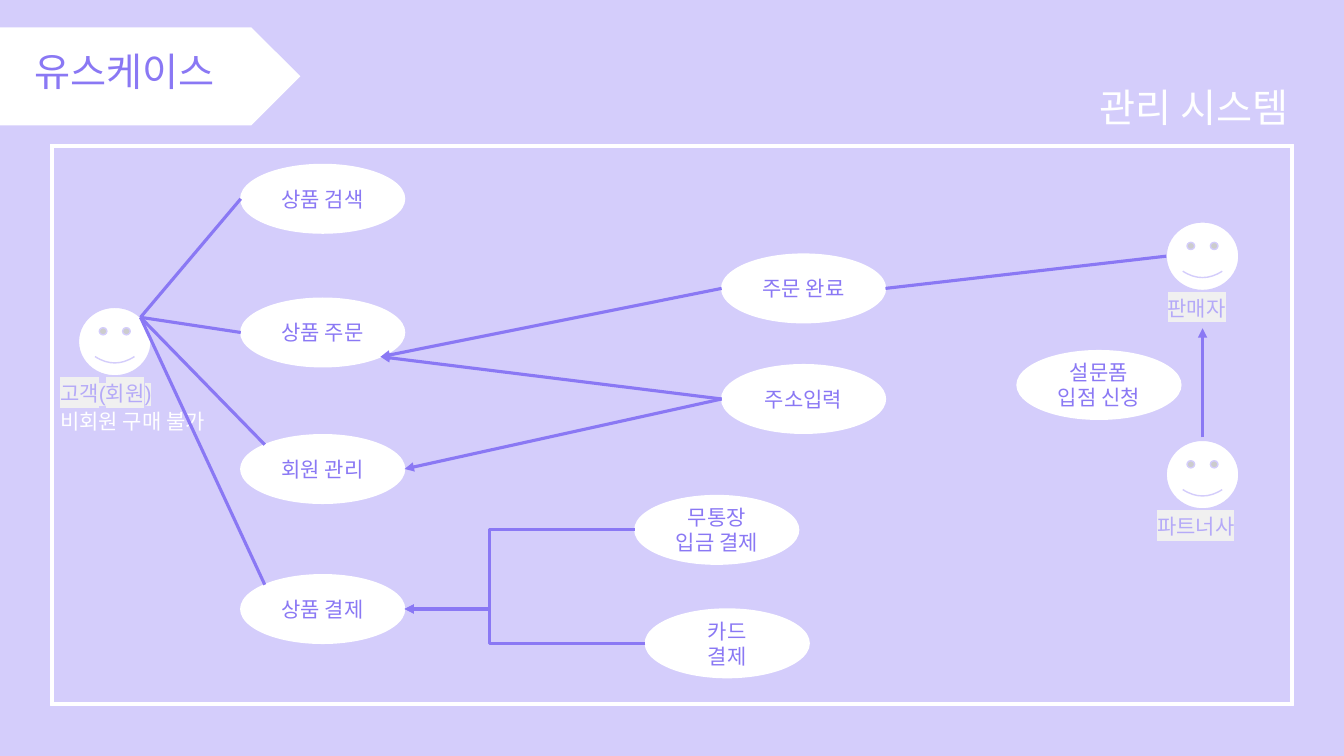
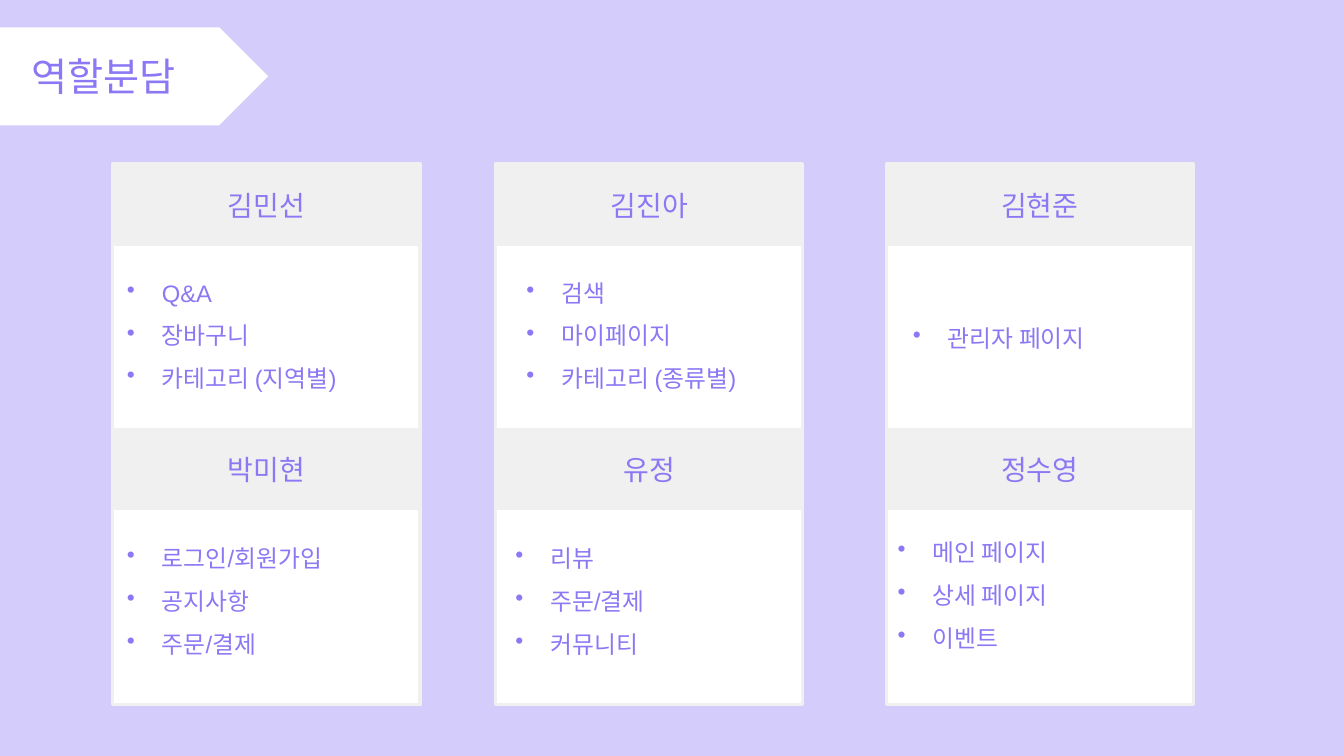
import math

from lxml import etree
from pptx import Presentation
from pptx.dml.color import RGBColor
from pptx.enum.shapes import MSO_CONNECTOR, MSO_SHAPE
from pptx.enum.text import MSO_ANCHOR, MSO_AUTO_SIZE, PP_ALIGN
from pptx.oxml.ns import qn
from pptx.util import Pt

COLORS = {
    "background": "D4CDFB",
    "white": "FFFFFF",
    "purple": "8A78F4",
    "light_purple": "B5AAF8",
    "gray": "F0F0F0",
}
BODY_FONT = "Arial"
TITLE_FONT = "Noto Sans CJK KR"
TITLE_ONLY = 5

RECTANGLE = MSO_SHAPE.RECTANGLE
ELLIPSE = MSO_SHAPE.OVAL
SMILEY = MSO_SHAPE.SMILEY_FACE
FRAME = MSO_SHAPE.FRAME
BANNER = MSO_SHAPE.PENTAGON
STRAIGHT = MSO_CONNECTOR.STRAIGHT
ELBOW = MSO_CONNECTOR.ELBOW
LEFT, CENTER = PP_ALIGN.LEFT, PP_ALIGN.CENTER
TOP, MIDDLE = MSO_ANCHOR.TOP, MSO_ANCHOR.MIDDLE

# Use case slide: name -> (lines, left, top)
USE_CASE_SIZE = (117, 49)
USE_CASES = {
    "search": (["상품 검색"], 172, 117.5),
    "order": (["상품 주문"], 172, 213),
    "members": (["회원 관리"], 172, 310.5),
    "payment": (["상품 결제"], 172, 410.5),
    "completed": (["주문 완료"], 515.5, 181.5),
    "address": (["주소입력"], 515.5, 260.5),
    "transfer": (["무통장", "입금 결제"], 453.5, 354),
    "card": (["카드", "결제"], 461, 435),
    "application": (["설문폼", "입점 신청"], 726.5, 250.5),
}
# name -> (left, top, label, label left, label width)
ACTOR_SIZE = (52, 49)
ACTORS = {
    "customer": (56, 219.5, "고객(회원)", 36, 93),
    "seller": (833, 158.5, "판매자", 827, 64),
    "partner": (833, 314.5, "파트너사", 819.5, 80),
}
# (start, side, end, side, has arrowhead)
LINKS = [
    ("customer", "top right", "search", "left", False),
    ("customer", "top right", "order", "left", False),
    ("customer", "top right", "members", "top left", False),
    ("customer", "top right", "payment", "top left", False),
    ("address", "left", "members", "right", True),
    ("address", "left", "order", "bottom right", True),
    ("completed", "left", "order", "bottom right", True),
    ("completed", "right", "seller", "left", False),
]
PAYMENT_METHODS = ["transfer", "card"]
PAYMENT_BEND = 349.5

DIAGONAL = math.sqrt(0.5)
SIDES = {
    "left": (-1, 0),
    "right": (1, 0),
    "top": (0, -1),
    "top left": (-DIAGONAL, -DIAGONAL),
    "top right": (DIAGONAL, -DIAGONAL),
    "bottom right": (DIAGONAL, DIAGONAL),
}

# Role slide: column left, then (name, tasks, list left, list top) per row
CARD_TOP, CARD_WIDTH, CARD_HEIGHT = 117, 219.5, 386.5
HEADER_TOPS, HEADER_HEIGHT = (117.5, 306), 58
ROLES = [
    (80.5, [
        ("김민선", ["Q&A", "장바구니", "카테고리 (지역별)"], 81.5, 185),
        ("박미현", ["로그인/회원가입", "공지사항", "주문/결제"], 81.5, 374.5),
    ]),
    (354, [
        ("김진아", ["검색", "마이페이지", "카테고리 (종류별)"], 367, 185),
        ("유정", ["리뷰", "주문/결제", "커뮤니티"], 359, 374.5),
    ]),
    (633, [
        ("김현준", ["관리자 페이지"], 643, 217.5),
        ("정수영", ["메인 페이지", "상세 페이지", "이벤트"], 632, 370.5),
    ]),
]


def rgb(name):
    return RGBColor.from_string(COLORS[name])


def write(shape, lines, size, color="purple", font=BODY_FONT, align=LEFT,
          anchor=TOP, spacing=None):
    frame = shape.text_frame
    frame.word_wrap = True
    frame.auto_size = MSO_AUTO_SIZE.NONE
    frame.vertical_anchor = anchor
    frame.text = "\n".join(lines)
    for paragraph in frame.paragraphs:
        paragraph.alignment = align
        paragraph.line_spacing = spacing
        paragraph.font.size = Pt(size)
        paragraph.font.name = font
        paragraph.font.color.rgb = rgb(color)
    return frame


def add_shape(slide, kind, box, fill, line=None, line_width=1, adjustment=None):
    shape = slide.shapes.add_shape(kind, *map(Pt, box))
    shape.shadow.inherit = False
    shape.fill.solid()
    shape.fill.fore_color.rgb = rgb(fill)
    if line:
        shape.line.color.rgb = rgb(line)
        shape.line.width = Pt(line_width)
    else:
        shape.line.fill.background()
    if adjustment is not None:
        shape.adjustments[0] = adjustment
    return shape


def add_text(slide, box, lines, size, **style):
    return write(slide.shapes.add_textbox(*map(Pt, box)), lines, size, **style)


def add_link(slide, start, end, arrow=False, bend=None):
    """Draw a line; bend is the x at which an elbow turns."""
    kind = STRAIGHT if bend is None else ELBOW
    link = slide.shapes.add_connector(kind, *map(Pt, (*start, *end)))
    link.line.color.rgb = rgb("purple")
    link.line.width = Pt(2.25)
    properties = link._element.spPr
    etree.SubElement(properties, qn("a:effectLst"))
    if arrow:
        etree.SubElement(properties.find(qn("a:ln")), qn("a:tailEnd"), type="triangle")
    if bend is not None:
        share = round((start[0] - bend) / (start[0] - end[0]) * 100000)
        guides = properties.find(qn("a:prstGeom")).find(qn("a:avLst"))
        etree.SubElement(guides, qn("a:gd"), name="adj1", fmla=f"val {share}")


def highlight(frame, color):
    for paragraph in frame.paragraphs:
        for run in paragraph.runs:
            mark = etree.SubElement(run._r.get_or_add_rPr(), qn("a:highlight"))
            etree.SubElement(mark, qn("a:srgbClr"), val=COLORS[color])


def add_bullets(frame):
    for paragraph in frame.paragraphs:
        properties = paragraph._p.get_or_add_pPr()
        properties.set("marL", str(Pt(27)))
        properties.set("indent", str(Pt(-25)))
        bullet = etree.Element(qn("a:buChar"), char="•")
        properties.find(qn("a:defRPr")).addprevious(bullet)


def add_titled_slide(presentation, title, banner_width, title_left, spacing=None):
    slide = presentation.slides.add_slide(presentation.slide_layouts[TITLE_ONLY])
    top, height = 19.5, 70
    add_shape(slide, BANNER, (0, top, banner_width, height), "white", adjustment=0.5)
    placeholder = slide.shapes.title
    placeholder.left, placeholder.top = Pt(title_left), Pt(top)
    placeholder.width, placeholder.height = Pt(banner_width - 52), Pt(height)
    write(placeholder, [title], 28, font=TITLE_FONT, anchor=MIDDLE, spacing=spacing)
    slide.shapes._spTree.append(placeholder._element)  # text above the banner
    return slide


def side_point(name, side):
    """Return the point on the rim of a use case or an actor."""
    if name in ACTORS:
        (left, top), (width, height) = ACTORS[name][:2], ACTOR_SIZE
    else:
        (left, top), (width, height) = USE_CASES[name][1:], USE_CASE_SIZE
    across, down = SIDES[side]
    return left + width / 2 * (1 + across), top + height / 2 * (1 + down)


def build_use_cases(presentation):
    slide = add_titled_slide(presentation, "유스케이스", 214.5, 17.5, 0.7)
    add_text(slide, (778.5, 56, 170, 41), ["관리 시스템"], 28, color="white")
    add_shape(slide, FRAME, (36, 103, 888, 401), "white", "white", 0.75, 0.006)

    for left, top, label, label_left, label_width in ACTORS.values():
        add_shape(slide, SMILEY, (left, top, *ACTOR_SIZE), "white", "background",
                  adjustment=0.047)
        frame = add_text(slide, (label_left, top + 49, label_width, 25), [label], 15,
                         color="light_purple")
        highlight(frame, "gray")
    add_text(slide, (36, 288.5, 140, 25), ["비회원 구매 불가"], 15, color="white")

    for lines, left, top in USE_CASES.values():
        shape = add_shape(slide, ELLIPSE, (left, top, *USE_CASE_SIZE), "white", "white")
        write(shape, lines, 15, align=CENTER, anchor=MIDDLE)

    for start, start_side, end, end_side, arrow in LINKS:
        add_link(slide, side_point(start, start_side), side_point(end, end_side), arrow)
    for method in PAYMENT_METHODS:
        add_link(slide, side_point(method, "left"), side_point("payment", "right"),
                 True, PAYMENT_BEND)
    x, y = side_point("partner", "top")
    add_link(slide, (x, y - 2), (x, 234.5), True)


def build_roles(presentation):
    slide = add_titled_slide(presentation, "역할분담", 191.5, 15)
    for left, members in ROLES:
        add_shape(slide, RECTANGLE, (left, CARD_TOP, CARD_WIDTH, CARD_HEIGHT),
                  "white", "gray", 2.25)
        for header_top, (name, tasks, list_left, list_top) in zip(HEADER_TOPS, members):
            header = add_shape(slide, RECTANGLE,
                               (left, header_top, CARD_WIDTH, HEADER_HEIGHT),
                               "gray", "gray")
            write(header, [name], 20, font=TITLE_FONT, align=CENTER, anchor=MIDDLE)
            frame = add_text(slide, (list_left, list_top, 196, 30 * len(tasks)),
                             tasks, 17, spacing=1.5)
            add_bullets(frame)


def main():
    presentation = Presentation()
    presentation.slide_width, presentation.slide_height = Pt(960), Pt(540)
    background = presentation.slide_master.background.fill
    background.solid()
    background.fore_color.rgb = rgb("background")
    build_use_cases(presentation)
    build_roles(presentation)
    presentation.save("out.pptx")


if __name__ == "__main__":
    main()
